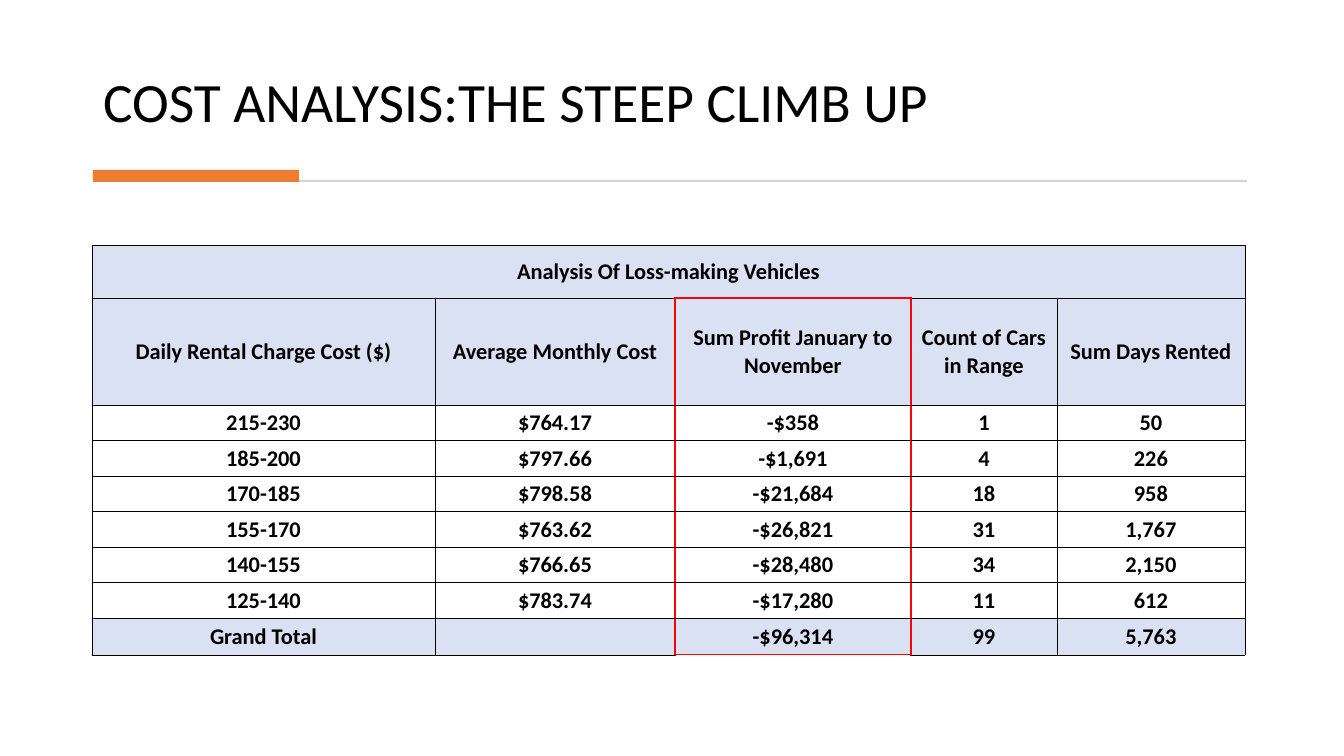
import lxml.etree
import pptx
import pptx.dml.color
import pptx.enum.shapes
import pptx.enum.text
import pptx.oxml.ns
import pptx.util

EMU_PER_PIXEL = 914400 / 100.8
COLOURS = {
    "text": "000000",
    "grid": "000000",
    "highlight": "FF0000",
    "band": "D9E1F2",
    "accent": "ED7D31",
    "rule": "D5D5D5",
}
HEADINGS = [
    "Daily Rental Charge Cost ($)",
    "Average Monthly Cost",
    "Sum Profit January to November",
    "Count of Cars in Range",
    "Sum Days Rented",
]
COST_RANGES = [
    ["215-230", "$764.17", "-$358", "1", "50"],
    ["185-200", "$797.66", "-$1,691", "4", "226"],
    ["170-185", "$798.58", "-$21,684", "18", "958"],
    ["155-170", "$763.62", "-$26,821", "31", "1,767"],
    ["140-155", "$766.65", "-$28,480", "34", "2,150"],
    ["125-140", "$783.74", "-$17,280", "11", "612"],
]
GRAND_TOTAL = ["Grand Total", "", "-$96,314", "99", "5,763"]
COLUMN_WIDTHS = [343, 240, 236, 146, 188]
ROW_HEIGHTS = [53, 107] + [213 / len(COST_RANGES)] * len(COST_RANGES) + [37]
PROFIT_COLUMN = 2


def px(pixels):
    """Turn pixels into EMU."""
    return pptx.util.Emu(round(pixels * EMU_PER_PIXEL))


def rgb(role):
    """Return the colour for a role."""
    return pptx.dml.color.RGBColor.from_string(COLOURS[role])


def write(frame, text, size=16, bold=False, align="CENTER", spacing=1.0):
    """Put one formatted paragraph into a text frame."""
    frame.word_wrap = True
    paragraph = frame.paragraphs[0]
    paragraph.alignment = getattr(pptx.enum.text.PP_ALIGN, align)
    paragraph.line_spacing = spacing
    run = paragraph.add_run()
    run.text = text
    run.font.name = "Calibri"
    run.font.size = pptx.util.Pt(size)
    run.font.bold = bold
    run.font.color.rgb = rgb("text")


def add_title(slide, text):
    """Place and format the title placeholder."""
    title = slide.shapes.title
    title.left, title.top, title.width, title.height = map(px, (93, 68, 1191, 72))
    frame = title.text_frame
    frame.auto_size = pptx.enum.text.MSO_AUTO_SIZE.NONE
    frame.vertical_anchor = pptx.enum.text.MSO_ANCHOR.BOTTOM
    write(frame, text, size=39.6, align="LEFT", spacing=0.9)


def add_bar(slide, box, role):
    """Add a plain filled bar."""
    bar = slide.shapes.add_shape(pptx.enum.shapes.MSO_SHAPE.RECTANGLE, *map(px, box))
    bar.shadow.inherit = False
    bar.fill.solid()
    bar.fill.fore_color.rgb = rgb(role)
    bar.line.fill.background()


def set_border(cell, side, role, width):
    """Draw one side of a cell."""
    qn = pptx.oxml.ns.qn
    properties = cell._tc.get_or_add_tcPr()
    edge = lxml.etree.SubElement(
        properties, qn(f"a:ln{side}"), w=str(pptx.util.Pt(width))
    )
    fill = lxml.etree.SubElement(edge, qn("a:solidFill"))
    lxml.etree.SubElement(fill, qn("a:srgbClr"), val=COLOURS[role])


def highlighted_sides(row, column, last_row):
    """Name the sides of a cell that lie on the profit outline."""
    if row == 0:
        return "B" if column == PROFIT_COLUMN else ""
    if column == PROFIT_COLUMN:
        return "LR" + "T" * (row == 1) + "B" * (row == last_row)
    return {PROFIT_COLUMN - 1: "R", PROFIT_COLUMN + 1: "L"}.get(column, "")


def format_cell(cell, text, banded, red_sides):
    """Set the borders, fill, insets and text of a cell."""
    for side in "LRTB":
        red = side in red_sides
        set_border(cell, side, "highlight" if red else "grid", 1 if red else 0.5)
    if banded:
        cell.fill.solid()
        cell.fill.fore_color.rgb = rgb("band")
    else:
        cell.fill.background()
    cell.margin_left = cell.margin_right = cell.margin_top = px(1)
    cell.margin_bottom = 0
    cell.vertical_anchor = pptx.enum.text.MSO_ANCHOR.MIDDLE
    if text:
        write(cell.text_frame, text, bold=True)


def add_cost_table(slide):
    """Add the table of loss-making vehicles."""
    caption = ["Analysis Of Loss-making Vehicles"] + [""] * (len(HEADINGS) - 1)
    records = [caption, HEADINGS, *COST_RANGES, GRAND_TOTAL]
    last_row = len(records) - 1
    size = (sum(COLUMN_WIDTHS), sum(ROW_HEIGHTS))
    costs = slide.shapes.add_table(
        len(records), len(HEADINGS), px(92), px(245), *map(px, size)
    ).table
    costs.first_row = costs.horz_banding = False
    for column, width in zip(costs.columns, COLUMN_WIDTHS):
        column.width = px(width)
    for row, height in zip(costs.rows, ROW_HEIGHTS):
        row.height = px(height)
    costs.cell(0, 0).merge(costs.cell(0, len(HEADINGS) - 1))
    for row, record in enumerate(records):
        for column, text in enumerate(record):
            format_cell(
                costs.cell(row, column),
                text,
                banded=row in (0, 1, last_row),
                red_sides=highlighted_sides(row, column, last_row),
            )


def main():
    """Build and save the slide."""
    deck = pptx.Presentation()
    deck.slide_width, deck.slide_height = px(1344), px(756)
    slide = deck.slides.add_slide(deck.slide_layouts[5])
    add_title(slide, "COST ANALYSIS:THE STEEP CLIMB UP")
    add_bar(slide, (95, 180, 1152, 2), "rule")
    add_bar(slide, (93, 170, 206, 12), "accent")
    add_cost_table(slide)
    deck.save("out.pptx")


main()
